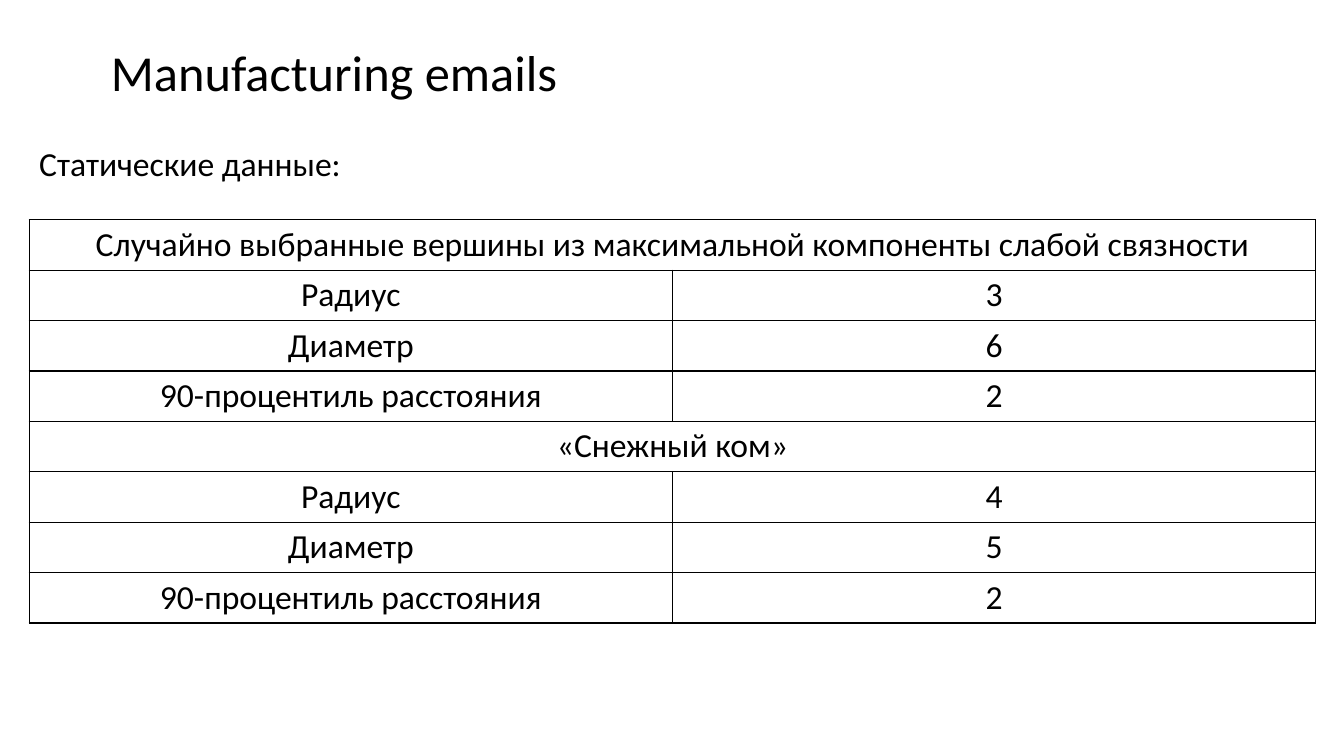
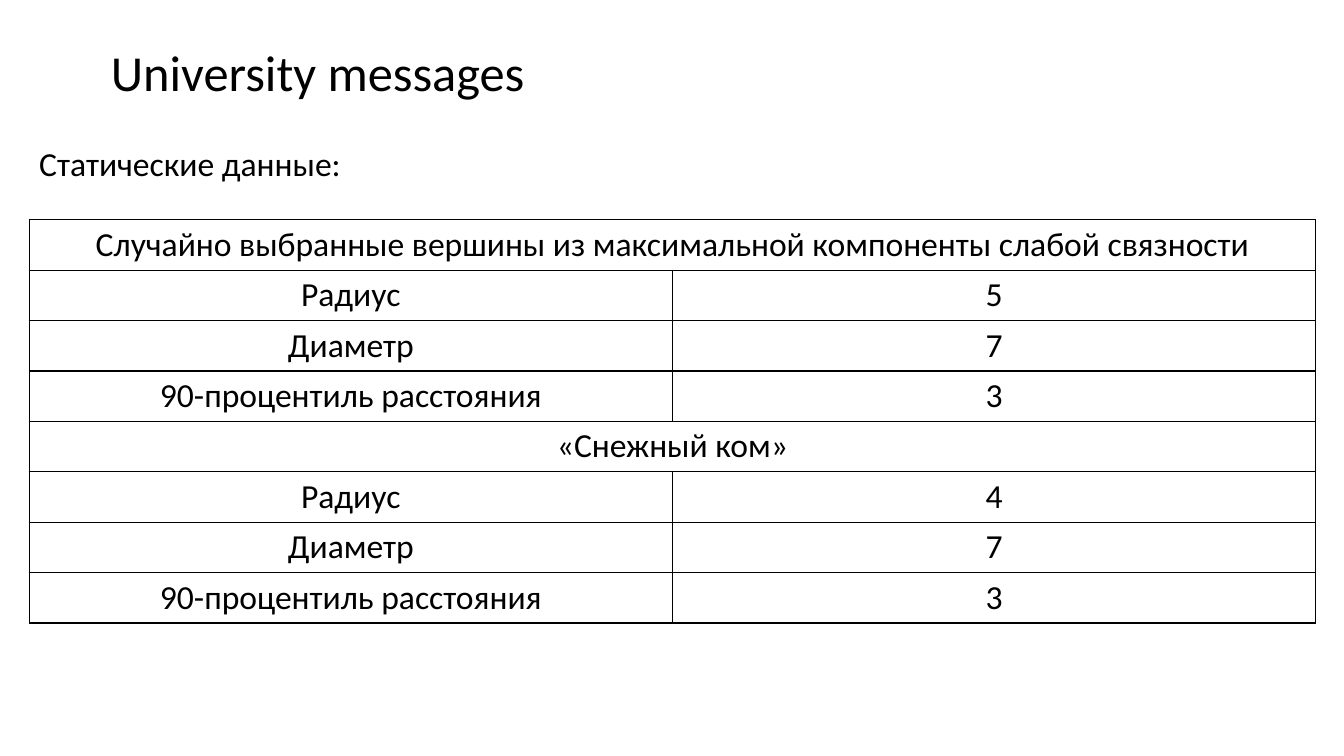
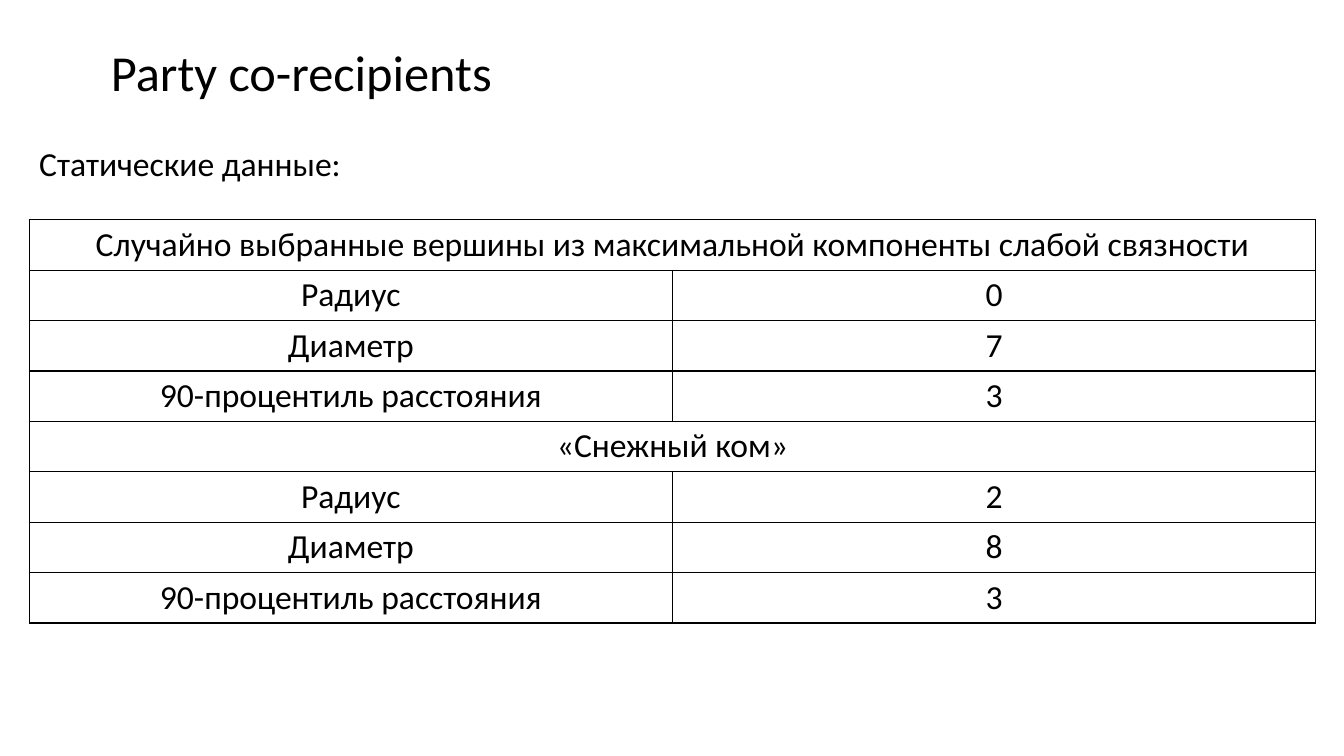
import pptx
import pptx.dml.color
import pptx.enum.text
import pptx.oxml
import pptx.oxml.ns
import pptx.util
from pptx.util import Inches

# Shared style
FONT = "Calibri"
BLACK = "000000"
TITLE_SIZE = 36
BODY_SIZE = 24
LEFT, CONTENT_WIDTH = 0.29, 12.76
ROW_HEIGHT = 0.5
BORDER_WIDTH = 1

# Shared wording
SUBTITLE = "Статические данные:"
SAMPLES = (
    "Случайно выбранные вершины из максимальной компоненты слабой связности",
    "«Снежный ком»",
)
MEASURES = ("Радиус", "Диаметр", "90-процентиль расстояния")

# Title, then the measured values for each sample
NETWORKS = (
    ("Manufacturing emails", ((3, 6, 2), (4, 5, 2))),
    ("University messages", ((5, 7, 3), (4, 7, 3))),
    ("Party co-recipients", ((0, 7, 3), (2, 8, 3))),
)

ALIGN = pptx.enum.text.PP_ALIGN
ANCHOR = pptx.enum.text.MSO_ANCHOR


def color(hex_value):
    return pptx.dml.color.RGBColor.from_string(hex_value)


def write_text(frame, text, size=BODY_SIZE, align=ALIGN.LEFT, hex_color=BLACK):
    frame.word_wrap = True
    paragraph = frame.paragraphs[0]
    paragraph.alignment = align
    run = paragraph.add_run()
    run.text = text
    run.font.name = FONT
    run.font.size = pptx.util.Pt(size)
    run.font.bold = False
    run.font.color.rgb = color(hex_color)


def add_title(slide, text):
    title = slide.shapes.title
    title.left, title.top = Inches(0), Inches(0.36)
    title.width, title.height = Inches(13.19), Inches(0.71)
    frame = title.text_frame
    frame.margin_left = Inches(1.1)
    frame.vertical_anchor = ANCHOR.TOP
    frame.auto_size = pptx.enum.text.MSO_AUTO_SIZE.SHAPE_TO_FIT_TEXT
    write_text(frame, text, size=TITLE_SIZE)


def add_subtitle(slide, text):
    box = slide.shapes.add_textbox(
        Inches(LEFT), Inches(1.37), Inches(CONTENT_WIDTH), Inches(0.5))
    box.text_frame.auto_size = pptx.enum.text.MSO_AUTO_SIZE.SHAPE_TO_FIT_TEXT
    write_text(box.text_frame, text)


def set_borders(cell, hex_color=BLACK, width=BORDER_WIDTH):
    properties = cell._tc.get_or_add_tcPr()
    for side in ("lnL", "lnR", "lnT", "lnB"):
        properties.append(pptx.oxml.parse_xml(
            f'<a:{side} {pptx.oxml.ns.nsdecls("a")} w="{pptx.util.Pt(width)}">'
            f'<a:solidFill><a:srgbClr val="{hex_color}"/></a:solidFill>'
            f'</a:{side}>'))


def format_cell(cell):
    set_borders(cell)
    cell.fill.background()
    cell.margin_top = cell.margin_bottom = 0
    cell.vertical_anchor = ANCHOR.MIDDLE


def add_table(slide, values):
    # A one-item row is a heading across both columns
    rows = []
    for sample, results in zip(SAMPLES, values):
        rows.append((sample,))
        rows.extend(zip(MEASURES, map(str, results)))

    table = slide.shapes.add_table(
        len(rows), 2, Inches(LEFT), Inches(2.18),
        Inches(CONTENT_WIDTH), Inches(ROW_HEIGHT * len(rows))).table
    table.first_row = table.horz_banding = False

    for cell in table.iter_cells():
        format_cell(cell)
    for row_index, texts in enumerate(rows):
        if len(texts) == 1:
            table.cell(row_index, 0).merge(table.cell(row_index, 1))
        for column_index, text in enumerate(texts):
            cell = table.cell(row_index, column_index)
            write_text(cell.text_frame, text, align=ALIGN.CENTER)


def main():
    presentation = pptx.Presentation()
    presentation.slide_width = Inches(13.33)
    presentation.slide_height = Inches(7.5)
    title_only = presentation.slide_layouts.get_by_name("Title Only")

    for title, values in NETWORKS:
        slide = presentation.slides.add_slide(title_only)
        add_title(slide, title)
        add_subtitle(slide, SUBTITLE)
        add_table(slide, values)

    presentation.save("out.pptx")


if __name__ == "__main__":
    main()
